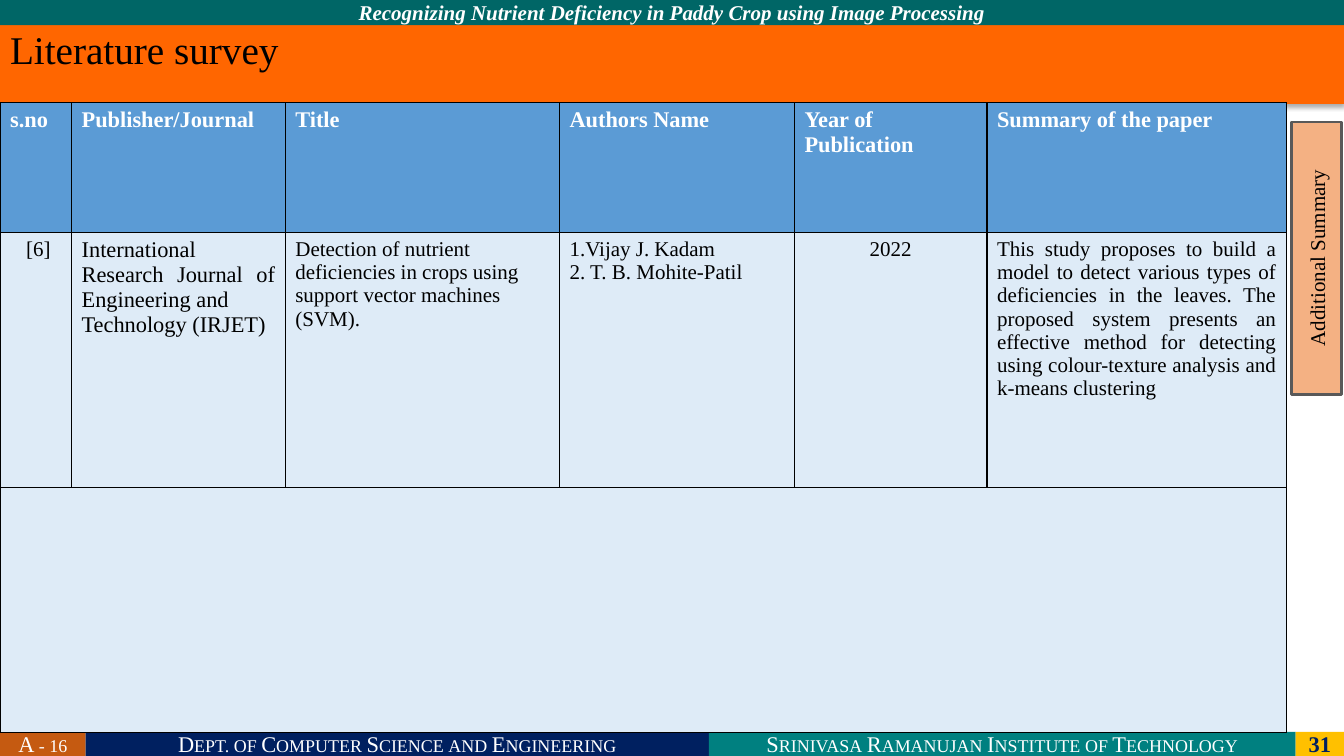
from dataclasses import dataclass

from lxml.etree import SubElement
from pptx import Presentation
from pptx.dml.color import RGBColor
from pptx.enum.shapes import MSO_SHAPE as SHAPE
from pptx.enum.text import MSO_ANCHOR as ANCHOR, MSO_AUTO_SIZE as AUTO, PP_ALIGN as ALIGN
from pptx.oxml import parse_xml
from pptx.oxml.ns import nsdecls, qn
from pptx.util import Inches, Pt


@dataclass(frozen=True)
class Theme:
    font: str = "Times New Roman"
    black: str = "000000"
    white: str = "FFFFFF"
    navy: str = "002060"
    teal: str = "008080"
    dark_teal: str = "006666"
    gold: str = "FFC000"
    rust: str = "C55A11"
    orange: str = "FF6600"
    peach: str = "F4B183"
    grey: str = "595959"
    header: str = "5B9BD5"
    body: str = "DEEBF7"
    title_size: int = 28
    large: int = 16
    small: int = 15


T = Theme()


def write(tf, text, size=T.large, color=T.white, bold=False, italic=False,
          caps=False, align=ALIGN.LEFT):
    """Fill a text frame, one paragraph per line of text."""
    tf.word_wrap = True
    tf.text = text
    for p in tf.paragraphs:
        p.alignment = align
        for r in p.runs:
            f = r.font
            f.name, f.size, f.bold, f.italic = T.font, Pt(size), bold, italic
            f.color.rgb = RGBColor.from_string(color)
            if caps:
                f._element.set("cap", "small")


def add_box(s, x, y, w, h, fill, text, **fmt):
    """Add a filled rectangle with centred text."""
    sp = s.shapes.add_shape(SHAPE.RECTANGLE, Inches(x), Inches(y), Inches(w), Inches(h))
    sp.shadow.inherit = False
    sp.fill.solid()
    sp.fill.fore_color.rgb = RGBColor.from_string(fill)
    sp.line.fill.background()
    sp.text_frame.vertical_anchor = ANCHOR.MIDDLE
    write(sp.text_frame, text, align=ALIGN.CENTER, **fmt)
    return sp


prs = Presentation()
prs.slide_width, prs.slide_height = Inches(13.33), Inches(7.5)
s = prs.slides.add_slide(prs.slide_layouts[5])

# Top banner and footer bars
add_box(s, 0, 0, 13.33, 0.25, T.dark_teal,
        "Recognizing Nutrient Deficiency in Paddy Crop using Image Processing",
        size=T.small, bold=True, italic=True)
footer = [
    (0.85, T.rust, "A - 16", dict(caps=True)),
    (6.18, T.navy, "Dept. of Computer Science and Engineering", dict(caps=True)),
    (5.82, T.teal, "Srinivasa Ramanujan Institute of Technology", dict(caps=True)),
    (0.48, T.gold, "31", dict(color=T.navy, bold=True)),
]
x = 0
for w, fill, text, fmt in footer:
    add_box(s, x, 7.26, w, 0.24, fill, text, **fmt)
    x += w

# Title with a soft shadow below
title = s.shapes.title
title.left, title.top = Inches(0), Inches(0.25)
title.width, title.height = Inches(13.33), Inches(0.78)
title.fill.solid()
title.fill.fore_color.rgb = RGBColor.from_string(T.orange)
tf = title.text_frame
tf.auto_size = AUTO.NONE
tf.vertical_anchor = ANCHOR.TOP
write(tf, "Literature survey", size=T.title_size, color=T.black, align=ALIGN.JUSTIFY)
tf.paragraphs[0].line_spacing = 0.9
title._element.spPr.append(parse_xml(
    f'<a:effectLst {nsdecls("a")}><a:outerShdw blurRad="{Pt(3.5)}" dist="{Pt(2.2)}" '
    f'dir="5400000" algn="t" rotWithShape="0"><a:srgbClr val="{T.black}">'
    '<a:alpha val="32000"/></a:srgbClr></a:outerShdw></a:effectLst>'))

# Survey table: heading, text, size, alignment of each column
columns = [
    (0.71, "s.no", " [6]", T.small, ALIGN.CENTER),
    (2.12, "Publisher/Journal",
     "International Research Journal of Engineering and\nTechnology (IRJET)",
     T.large, ALIGN.JUSTIFY),
    (2.72, "Title",
     "Detection of nutrient deficiencies in crops using support vector machines (SVM).",
     T.small, ALIGN.LEFT),
    (2.33, "Authors Name", "1.Vijay J. Kadam\n2. T. B. Mohite-Patil", T.small, ALIGN.LEFT),
    (1.91, "Year of Publication", "2022", T.small, ALIGN.CENTER),
    (2.97, "Summary of the paper",
     "This study proposes to build a model to detect various types of deficiencies in the "
     "leaves. The proposed system presents an effective method for detecting using "
     "colour-texture analysis and k-means clustering", T.small, ALIGN.JUSTIFY),
]
row_heights = [1.29, 2.53, 2.43]
tbl = s.shapes.add_table(len(row_heights), len(columns), Inches(0), Inches(1.02),
                         Inches(12.76), Inches(sum(row_heights))).table
for row, h in zip(tbl.rows, row_heights):
    row.height = Inches(h)
for i, (w, heading, text, size, align) in enumerate(columns):
    tbl.columns[i].width = Inches(w)
    write(tbl.cell(0, i).text_frame, heading, bold=True)
    write(tbl.cell(1, i).text_frame, text, size=size, color=T.black, align=align)
tbl.cell(2, 0).merge(tbl.cell(2, len(columns) - 1))

# Cell borders and fills
for i, row in enumerate(tbl.rows):
    for cell in row.cells:
        tcPr = cell._tc.get_or_add_tcPr()
        for side in ("lnL", "lnR", "lnT", "lnB"):
            ln = SubElement(tcPr, qn(f"a:{side}"), w=str(Pt(1)))
            solid = SubElement(ln, qn("a:solidFill"))
            SubElement(solid, qn("a:srgbClr"), val=T.black)
        cell.fill.solid()
        cell.fill.fore_color.rgb = RGBColor.from_string(T.body if i else T.header)

# Side tab, turned to read upwards
tab = add_box(s, 11.71, 2.31, 2.7, 0.5, T.peach, "Additional Summary",
              size=T.small, color=T.black)
tab.rotation = 270
tab.line.color.rgb = RGBColor.from_string(T.grey)
tab.line.width = Pt(2)

prs.save("out.pptx")
